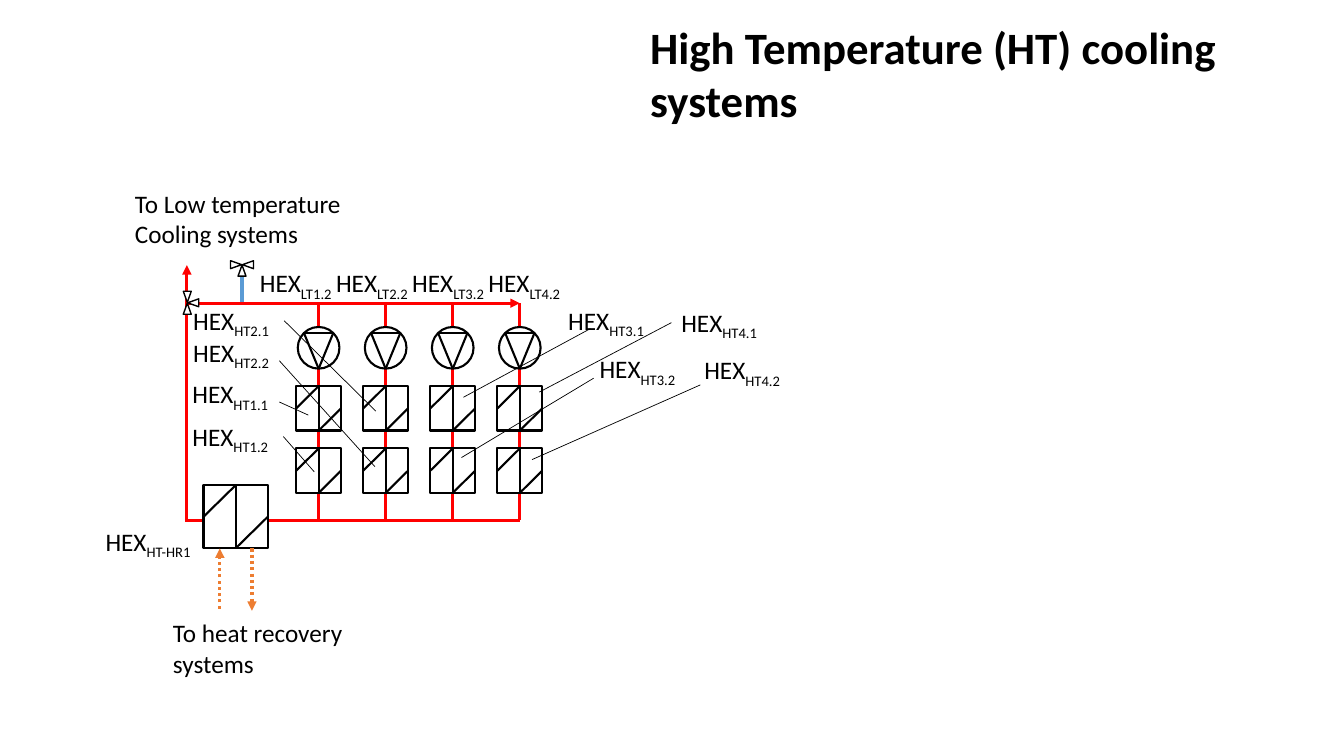
from dataclasses import dataclass
from math import cos, radians, sin

from lxml import etree
from pptx import Presentation
from pptx import util as u
from pptx.dml.color import RGBColor
from pptx.enum import dml, shapes, text
from pptx.oxml.ns import qn


@dataclass
class Theme:
    font: str = "Calibri"
    title: int = 32
    body: int = 18
    black: str = "000000"
    white: str = "FFFFFF"
    hot: str = "FF0000"
    cold: str = "5B9BD5"
    recovery: str = "ED7D31"
    pipe: float = 2.25
    outline: float = 1.5
    valve: float = 1
    leader: float = 0.5


theme = Theme()
prs = Presentation()
prs.slide_width, prs.slide_height = u.Cm(33.87), u.Cm(19.05)
slide = prs.slides.add_slide(prs.slide_layouts[5])


def draw_line(x1, y1, x2, y2, color, width, arrow=False, dotted=False):
    """Draw a straight line in cm, with an optional arrowhead at its end."""
    line = slide.shapes.add_connector(
        shapes.MSO_CONNECTOR.STRAIGHT, u.Cm(x1), u.Cm(y1), u.Cm(x2), u.Cm(y2))
    line.line.color.rgb = RGBColor.from_string(color)
    line.line.width = u.Pt(width)
    if dotted:
        line.line.dash_style = dml.MSO_LINE.ROUND_DOT
    if arrow:
        etree.SubElement(line.line._get_or_add_ln(), qn("a:tailEnd"), type="triangle")
    etree.SubElement(line._element.spPr, qn("a:effectLst"))


def write_label(x, y, width, height, paragraphs):
    """Write paragraphs of (words, is_subscript) runs in an unwrapped box."""
    frame = slide.shapes.add_textbox(u.Cm(x), u.Cm(y), u.Cm(width), u.Cm(height)).text_frame
    frame.word_wrap = False
    frame.auto_size = text.MSO_AUTO_SIZE.SHAPE_TO_FIT_TEXT
    for i, runs in enumerate(paragraphs):
        paragraph = frame.add_paragraph() if i else frame.paragraphs[0]
        for words, is_subscript in runs:
            run = paragraph.add_run()
            run.text = words
            run.font.name, run.font.size = theme.font, u.Pt(theme.body)
            run.font.color.rgb = RGBColor.from_string(theme.black)
            if is_subscript:
                run.font._element.set("baseline", "-25000")


# Title
title = slide.shapes.title
title.left, title.top, title.width, title.height = (u.Cm(v) for v in (16.13, 0.36, 18.01, 1.63))
title.text_frame.word_wrap = True
title.text_frame.auto_size = text.MSO_AUTO_SIZE.NONE
title.text_frame.vertical_anchor = text.MSO_ANCHOR.TOP
heading = title.text_frame.paragraphs[0]
heading.alignment, heading.line_spacing = text.PP_ALIGN.LEFT, 1.0
heading_run = heading.add_run()
heading_run.text = "High Temperature (HT) cooling systems"
heading_run.font.name, heading_run.font.size = theme.font, u.Pt(theme.title)
heading_run.font.bold = True
heading_run.font.color.rgb = RGBColor.from_string(theme.black)

# Layout of the circuit, in cm
engines = [8.03 + 1.69 * i for i in range(4)]
header_y, return_y, riser_x = 7.64, 13.11, 4.71
pump_top, pump_size = 8.24, 1.05
hex_tops, hex_width, hex_height = (9.73, 11.3), 1.13, 1.12
bypass_x = 6.1

# Pipes
draw_line(bypass_x, 7.6, bypass_x, 6.9, theme.cold, theme.pipe)
draw_line(riser_x, header_y, engines[-1], header_y, theme.hot, theme.pipe, arrow=True)
draw_line(riser_x - 0.05, return_y, engines[-1], return_y, theme.hot, theme.pipe)
draw_line(riser_x, return_y, riser_x, 6.68, theme.hot, theme.pipe, arrow=True)
pipe_ends = [header_y, pump_top, pump_top + pump_size]
for top in hex_tops:
    pipe_ends += [top, top + hex_height]
pipe_ends.append(return_y)
for x in engines:
    for start, end in zip(pipe_ends[::2], pipe_ends[1::2]):
        draw_line(x, start, x, end, theme.hot, theme.pipe)

# Bodies: kind, centre, size, rotation, outline width
exchangers = [(x, top + hex_height / 2, hex_width, hex_height) for x in engines for top in hex_tops]
exchangers.append((5.94, 13.02, 1.62, 1.59))
kinds = shapes.MSO_SHAPE
bodies = [(kinds.RECTANGLE, *box, 0, theme.outline) for box in exchangers]
bodies += [(kinds.OVAL, x, pump_top + pump_size / 2, pump_size, pump_size, 0, theme.outline)
           for x in engines]
for x, y, turns in ((bypass_x, 6.67, (270, 90, 0)), (4.72, 7.63, (180, 0, 270))):
    for turn in turns:
        bodies.append((kinds.ISOSCELES_TRIANGLE, x - 0.15 * sin(radians(turn)),
                       y + 0.15 * cos(radians(turn)), 0.2, 0.28, turn, theme.valve))
for kind, x, y, width, height, turn, outline in bodies:
    body = slide.shapes.add_shape(kind, u.Cm(x - width / 2), u.Cm(y - height / 2),
                                  u.Cm(width), u.Cm(height))
    body.rotation = turn
    body.shadow.inherit = False
    body.fill.solid()
    body.fill.fore_color.rgb = RGBColor.from_string(theme.white)
    body.line.color.rgb = RGBColor.from_string(theme.black)
    body.line.width = u.Pt(outline)

# Exchanger plates and pump triangles
for x, y, width, height in exchangers:
    left, right, top, bottom = x - width / 2, x + width / 2, y - height / 2, y + height / 2
    for ends in ((left, y, x, top), (x, bottom, x, top), (x, bottom, right, y)):
        draw_line(*ends, theme.black, theme.outline)
for x in engines:
    left, right, top, bottom = x - 0.37, x + 0.37, pump_top + 0.15, pump_top + pump_size
    for ends in ((left, top, right, top), (x, bottom, right, top), (x, bottom, left, top)):
        draw_line(*ends, theme.black, theme.outline)

# Heat recovery flows
draw_line(5.54, 15.34, 5.54, 13.82, theme.recovery, theme.pipe, arrow=True, dotted=True)
draw_line(6.35, 13.82, 6.35, 15.39, theme.recovery, theme.pipe, arrow=True, dotted=True)

# Exchanger labels and their leaders
hex_labels = [(f"LT{i + 1}.2", 6.3 + 1.92 * i, 6.62, 2.44) for i in range(4)]
hex_labels += [
    ("HT2.1", 4.62, 7.57, 2.54), ("HT2.2", 4.62, 8.38, 2.54),
    ("HT1.1", 4.6, 9.42, 2.54), ("HT1.2", 4.6, 10.49, 2.54),
    ("HT3.1", 14.07, 7.57, 2.54), ("HT4.1", 16.92, 7.62, 2.54),
    ("HT3.2", 14.86, 8.79, 2.54), ("HT4.2", 17.5, 8.81, 2.54),
    ("HT-HR1", 2.41, 13.13, 2.84),
]
for tag, x, y, width in hex_labels:
    write_label(x, y, width, 1.02, [[("HEX", False), (tag, True)]])
for leader in (
    (9.47, 10.36, 7.16, 8.08), (9.45, 11.76, 7.04, 9.09),
    (7.77, 10.46, 7.04, 10.13), (7.92, 11.89, 7.14, 11.0),
    (14.88, 8.28, 11.68, 10.01), (16.92, 8.13, 13.59, 9.88),
    (14.96, 9.53, 11.63, 11.53), (17.65, 9.7, 13.41, 11.58),
):
    draw_line(*leader, theme.black, theme.leader)

# Connections to other systems
write_label(3.15, 4.62, 5.69, 1.8, [[("To Low temperature", False)], [("Cooling systems", False)]])
write_label(4.11, 15.44, 4.78, 1.8, [[("To heat recovery", False)], [("systems", False)]])

prs.save("out.pptx")
